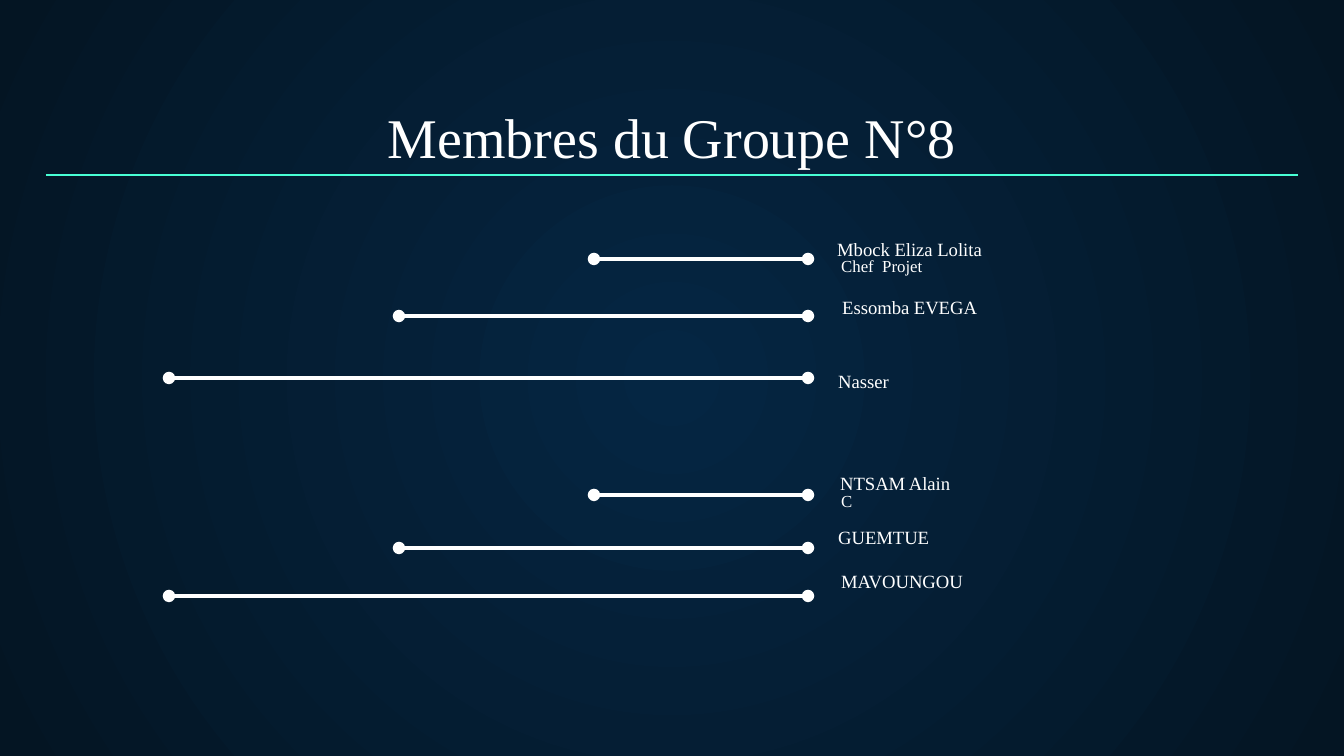
import pptx
import pptx.util
import pptx.dml.color
import pptx.enum.shapes
import pptx.enum.text
import pptx.oxml
import pptx.oxml.ns

# Content: name, name (left, top), line y, role, role top
TITLE = "Membres du Groupe N°8"
MEMBERS = [
    ("Mbock Eliza Lolita", (824, 224), 259, "Chef  Projet", 239),
    ("Essomba EVEGA", (829, 282), 316, None, None),
    ("Nasser", (825, 356), 378, None, None),
    ("NTSAM Alain", (827, 458), 495, "C", 474),
    ("GUEMTUE", (825, 512), 548, None, None),
    ("MAVOUNGOU", (828, 556), 596, None, None),
]
STARTS = [594, 399, 169]  # line starts, repeated for each set of three
END = 808
ROLE_X = 828


class Theme:
    font = "Times New Roman"
    white, mint = "FFFFFF", "48FFD5"
    inner, outer = "052643", "041523"
    title, name, role = 30, 10, 9
    thick, thin = 2.25, 0.75


SCALE = 914400 / 134.4
NS = pptx.oxml.ns.nsdecls("a")
ALIGN = pptx.enum.text.PP_ALIGN
ANCHOR = pptx.enum.text.MSO_ANCHOR


def px(n):
    return pptx.util.Emu(round(n * SCALE))


def rgb(code):
    return pptx.dml.color.RGBColor.from_string(code)


def add_text(text, box, size, align=ALIGN.LEFT, anchor=ANCHOR.TOP,
             spacing=None, after=None, shape=None):
    """Fill the given placeholder, or a new text box."""
    shape = shape or slide.shapes.add_textbox(0, 0, 0, 0)
    shape.left, shape.top, shape.width, shape.height = map(px, box)
    frame = shape.text_frame
    frame.word_wrap = True
    frame.auto_size = pptx.enum.text.MSO_AUTO_SIZE.NONE
    frame.vertical_anchor = anchor
    frame.margin_left = frame.margin_right = pptx.util.Inches(0.1)
    frame.margin_top = frame.margin_bottom = pptx.util.Inches(0.1)
    para = frame.paragraphs[0]
    para.alignment = align
    if spacing:
        para.line_spacing = spacing
    if after:
        para.space_after = pptx.util.Pt(after)
    run = para.add_run()
    run.text = text
    run.font.name = Theme.font
    run.font.size = pptx.util.Pt(size)
    run.font.color.rgb = rgb(Theme.white)


def add_line(left, right, y, color, width, dots=False):
    kind = pptx.enum.shapes.MSO_CONNECTOR.STRAIGHT
    line = slide.shapes.add_connector(kind, px(left), px(y), px(right), px(y))
    line.line.color.rgb = rgb(color)
    line.line.width = pptx.util.Pt(width)
    if dots:
        for tag in ("headEnd", "tailEnd"):
            line.line._ln.append(
                pptx.oxml.parse_xml(f'<a:{tag} {NS} type="oval"/>'))
    line._element.spPr.append(pptx.oxml.parse_xml(f"<a:effectLst {NS}/>"))


def paint_back():
    """Radial gradient from the centre of the slide."""
    fill = slide.background.fill
    fill.gradient()
    for stop, color, place in zip(fill.gradient_stops,
                                  (Theme.inner, Theme.outer), (0, 1)):
        stop.color.rgb = rgb(color)
        stop.position = place
    grad = slide.element.find(".//" + pptx.oxml.ns.qn("a:gradFill"))
    lin = grad.find(pptx.oxml.ns.qn("a:lin"))
    grad.replace(lin, pptx.oxml.parse_xml(
        f'<a:path {NS} path="circle"><a:fillToRect l="50000" t="50000" '
        'r="50000" b="50000"/></a:path>'))


deck = pptx.Presentation()
deck.slide_width, deck.slide_height = px(1344), px(756)
slide = deck.slides.add_slide(deck.slide_layouts.get_by_name("Title Only"))
paint_back()

# Title and rule
add_text(TITLE, (46, 94, 1252, 89), Theme.title, align=ALIGN.CENTER,
         anchor=ANCHOR.BOTTOM, shape=slide.shapes.title)
add_line(46, 1298, 175, Theme.mint, Theme.thin)

# Members
for i, (name, spot, y, role, top) in enumerate(MEMBERS):
    add_line(STARTS[i % len(STARTS)], END, y, Theme.white, Theme.thick,
             dots=True)
    if role:
        add_text(role, (ROLE_X, top, 343, 74), Theme.role, spacing=1.15,
                 after=16)
    add_text(name, (*spot, 305, 47), Theme.name)

deck.save("out.pptx")
